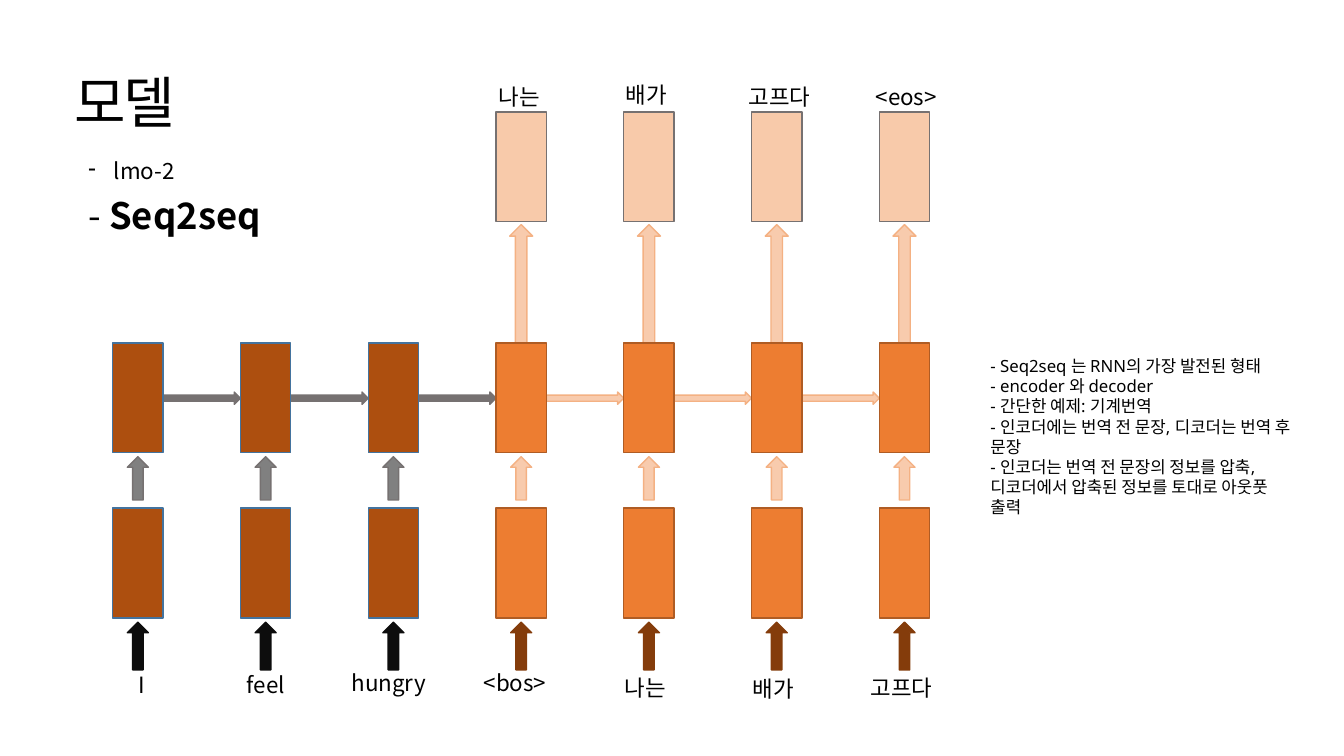
from lxml.etree import SubElement
from pptx import Presentation
from pptx.dml.color import RGBColor
from pptx.enum.shapes import MSO_SHAPE as Preset
from pptx.enum.text import MSO_ANCHOR as Anchor
from pptx.oxml.ns import qn
from pptx.util import Cm, Pt

COLORS = {
    "text": "000000",
    "encoder": "AD4F0F", "encoder_line": "43739E",
    "decoder": "ED7D31", "decoder_line": "AF5C24",
    "output": "F8CAAA", "grey_line": "767171",
    "peach": "F8CBAD", "peach_line": "F4B183",
    "grey": "808080", "dark_grey": "767171",
    "black": "0D0D0D", "brown": "843C0B",
}
SANS, CJK = "Noto Sans", "Noto Sans CJK KR"
LABEL = {"size": Pt(16), "name": CJK}
NOTE = {"size": Pt(12), "name": SANS}
TITLE = {"size": Pt(40), "name": SANS}
HEADLINE = {"size": Pt(26), "name": CJK}

PITCH, CELL_WIDTH, CELL_HEIGHT = 3.22, 1.27, 2.77
OUTPUT_TOP, HIDDEN_TOP, INPUT_TOP = 0.84, 6.66, 10.82
ENCODER_WORDS = [("I", 0.39, 14.81), ("feel", -0.09, 14.81), ("hungry", -0.67, 14.76)]
DECODER_WORDS = [("<bos>", -0.56, 14.76), ("나는", -0.23, 14.89),
                 ("배가", -0.22, 14.91), ("고프다", -0.47, 14.89)]
OUTPUT_WORDS = [("나는", -0.18, 0), ("배가", -0.2, -0.05),
                ("고프다", -0.32, 0), ("<eos>", -0.34, -0.02)]
NOTES = [
    "- Seq2seq 는 RNN의 가장 발전된 형태",
    "- encoder 와 decoder",
    "- 간단한 예제: 기계번역",
    "- 인코더에는 번역 전 문장, 디코더는 번역 후 문장",
    "- 인코더는 번역 전 문장의 정보를 압축, 디코더에서 압축된 정보를 토대로 아웃풋 출력",
]


def add_text_frame(slide, left, top, width, height):
    """Add an empty wrapping text box and return its text frame."""
    frame = slide.shapes.add_textbox(Cm(left), Cm(top), Cm(width), Cm(height)).text_frame
    frame.word_wrap = True
    return frame


def add_run(paragraph, text, font_values):
    """Append a run with its font values and a Korean typeface."""
    run = paragraph.add_run()
    run.text = text
    for key, value in font_values.items():
        setattr(run.font, key, value)
    run.font.color.rgb = RGBColor.from_string(COLORS["text"])
    latin = run.font._element.find(qn("a:latin"))
    east_asian = latin.makeelement(qn("a:ea"), {"typeface": CJK})
    latin.addnext(east_asian)
    return run


def add_block(slide, preset, left, top, width, height, fill, line):
    """Add a filled and outlined preset shape."""
    shape = slide.shapes.add_shape(preset, Cm(left), Cm(top), Cm(width), Cm(height))
    shape.shadow.inherit = False
    shape.fill.solid()
    shape.fill.fore_color.rgb = RGBColor.from_string(COLORS[fill])
    shape.line.color.rgb = RGBColor.from_string(COLORS[line])
    shape.line.width = Pt(1)


def add_cell(slide, left, top, fill, line):
    """Add one network cell."""
    add_block(slide, Preset.RECTANGLE, left, top, CELL_WIDTH, CELL_HEIGHT, fill, line)


def add_up_arrow(slide, cell_left, top, width, height, fill, line):
    """Add an upward arrow centred on the column of a cell."""
    left = cell_left + (CELL_WIDTH - width) / 2
    add_block(slide, Preset.UP_ARROW, left, top, width, height, fill, line)


def add_word(slide, left, top, word):
    """Add a word beside a column."""
    frame = add_text_frame(slide, left, top, 3.6, 0.94)
    add_run(frame.paragraphs[0], word, LABEL)


def add_network_column(slide, left, top, entry, role, rise, feed):
    """Add the input word, input cell and hidden cell of one step."""
    word, shift, drop = entry
    add_cell(slide, left, top + HIDDEN_TOP, role, f"{role}_line")
    add_cell(slide, left, top + INPUT_TOP, role, f"{role}_line")
    add_up_arrow(slide, left, top + 9.53, 0.53, 1.09, *rise)
    add_up_arrow(slide, left, top + 13.7, 0.53, 1.2, feed, feed)
    add_word(slide, left + shift, top + drop, word)


def add_output_column(slide, left, top, entry):
    """Add the output cell above a decoder step, with its arrow and word."""
    word, shift, drop = entry
    add_up_arrow(slide, left, top + 3.68, 0.58, 3.38, "peach", "peach_line")
    add_cell(slide, left, top + OUTPUT_TOP, "output", "grey_line")
    add_word(slide, left + shift, top + drop, word)


def add_network(slide, left, top):
    """Place the encoder and decoder steps and the arrows between them."""
    words = ENCODER_WORDS + DECODER_WORDS
    encoder_count = len(ENCODER_WORDS)
    for step in range(len(words) - 1):
        style = ("dark_grey", "grey_line") if step < encoder_count else ("peach", "peach_line")
        add_block(slide, Preset.RIGHT_ARROW, left + step * PITCH + CELL_WIDTH,
                  top + 7.9, PITCH - CELL_WIDTH, 0.31, *style)
    for step, entry in enumerate(OUTPUT_WORDS, encoder_count):
        add_output_column(slide, left + step * PITCH, top, entry)
    for step, entry in enumerate(words):
        if step < encoder_count:
            style = ("encoder", ("grey", "grey_line"), "black")
        else:
            style = ("decoder", ("peach", "peach_line"), "brown")
        add_network_column(slide, left + step * PITCH, top, entry, *style)


def add_title(slide, left, top, width, height):
    """Add the slide title."""
    frame = add_text_frame(slide, left, top, width, height)
    frame.vertical_anchor = Anchor.MIDDLE
    paragraph = frame.paragraphs[0]
    paragraph.line_spacing = 0.9
    run = add_run(paragraph, "모델", TITLE)
    run.font._element.set("spc", "-150")


def add_model_list(slide, left, top, width, height):
    """Add the list of models with the current one emphasised."""
    frame = add_text_frame(slide, left, top, width, height)
    other, current = frame.paragraphs[0], frame.add_paragraph()
    for paragraph in (other, current):
        paragraph.line_spacing = 0.9
        paragraph.space_before = Pt(10)
    add_run(other, "lmo-2", LABEL)
    properties = other._p.get_or_add_pPr()
    properties.set("marL", str(Cm(0.64)))
    properties.set("indent", str(Cm(-0.64)))
    SubElement(properties, qn("a:buChar"), char="-")
    add_run(current, "- ", HEADLINE)
    add_run(current, "Seq2seq", {**HEADLINE, "bold": True})


def add_notes_panel(slide, left, top, width, height):
    """Add the explanatory lines."""
    frame = add_text_frame(slide, left, top, width, height)
    for index, line in enumerate(NOTES):
        paragraph = frame.add_paragraph() if index else frame.paragraphs[0]
        add_run(paragraph, line, NOTE)


def main():
    """Build and save the presentation."""
    presentation = Presentation()
    presentation.slide_width, presentation.slide_height = Cm(33.87), Cm(19.05)
    slide = presentation.slides.add_slide(presentation.slide_layouts[6])
    add_model_list(slide, 1.98, 3.91, 6.99, 3.96)
    add_title(slide, 1.63, 0.81, 11.51, 3.68)
    add_network(slide, 2.84, 1.98)
    add_notes_panel(slide, 24.71, 8.84, 8.23, 4.88)
    presentation.save("out.pptx")


if __name__ == "__main__":
    main()
